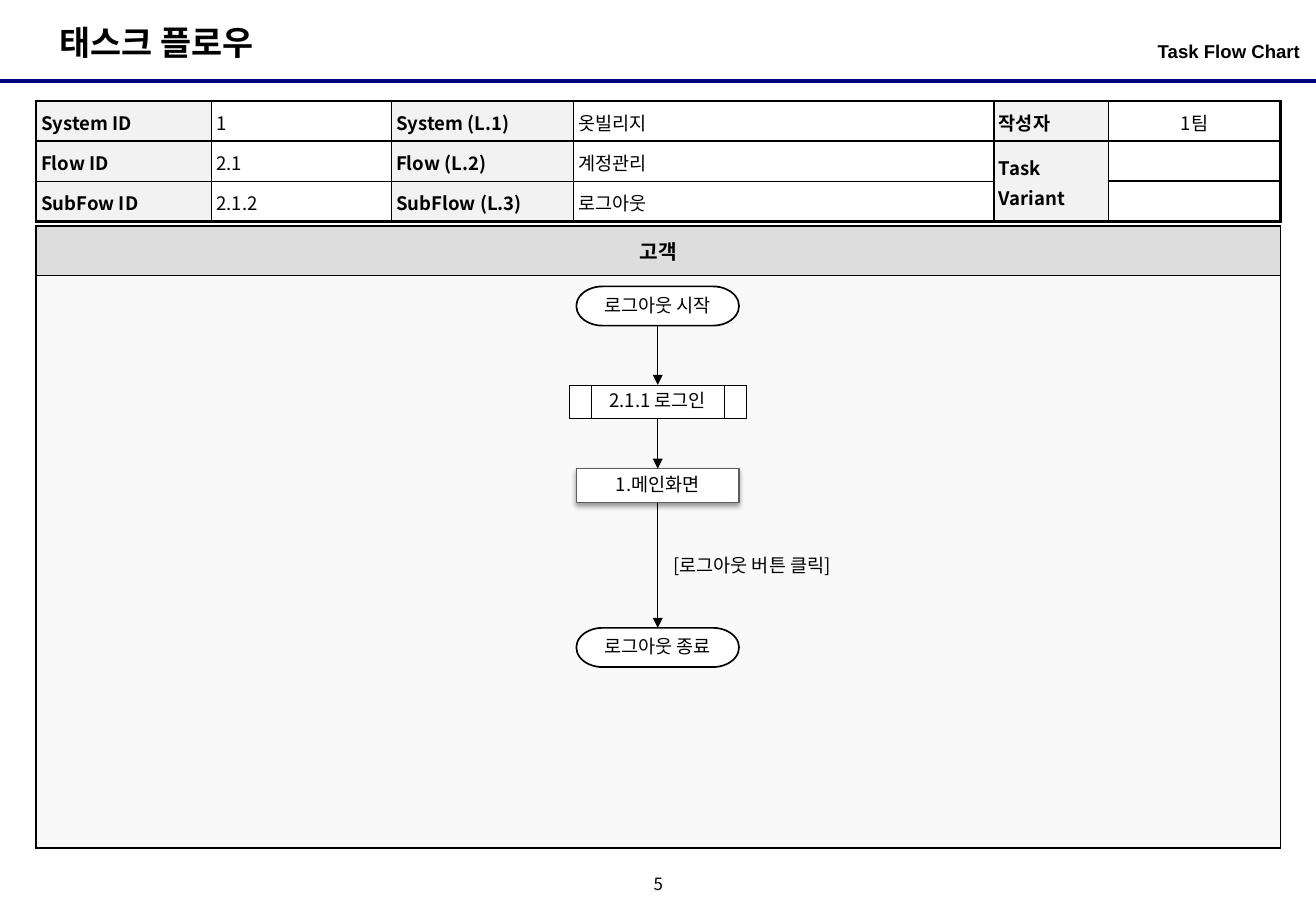
"""Build the logout task flow slide."""
from dataclasses import dataclass

from lxml import etree
from pptx import Presentation
from pptx.dml.color import RGBColor
from pptx.enum.shapes import MSO_CONNECTOR, MSO_SHAPE
from pptx.enum.text import MSO_ANCHOR, PP_ALIGN
from pptx.oxml.ns import qn
from pptx.util import Cm, Pt

STRAIGHT = MSO_CONNECTOR.STRAIGHT
TERMINATOR = MSO_SHAPE.FLOWCHART_TERMINATOR
PROCESS = MSO_SHAPE.FLOWCHART_PROCESS
PREDEFINED = MSO_SHAPE.FLOWCHART_PREDEFINED_PROCESS
LEFT, CENTER, RIGHT = PP_ALIGN.LEFT, PP_ALIGN.CENTER, PP_ALIGN.RIGHT
TOP, MIDDLE = MSO_ANCHOR.TOP, MSO_ANCHOR.MIDDLE
KOREAN_FONT = "Noto Sans CJK KR"
BLACK, WHITE, LABEL_GRAY = "000000", "FFFFFF", "F2F2F2"
BOTTOM_SITE, TOP_SITE = 2, 0
FLOW_CENTER = 13.75
TABLE_LEFT = 0.76


@dataclass
class Caption:
    text: str
    left: float
    top: float
    width: float
    height: float
    size: float
    bold: bool = False
    font: str = KOREAN_FONT
    align: PP_ALIGN = LEFT
    anchor: MSO_ANCHOR = TOP
    wrap: bool = False
    inset: tuple[float, float] = (0.25, 0.13)
    spacing: float = 1.0


@dataclass
class Step:
    text: str
    kind: MSO_SHAPE
    top: float
    width: float
    height: float
    outline: str = BLACK
    weight: float = 1
    font: str = KOREAN_FONT
    shadow: bool = False


CAPTIONS = [
    Caption("태스크 플로우", 0.99, 0.33, 5.03, 1.12, 20, bold=True),
    Caption("Task Flow Chart", 18.77, 0.71, 8.41, 0.99, 11, bold=True,
            font="Arial", align=RIGHT, wrap=True, inset=(0, 0.13)),
    Caption("[로그아웃 버튼 클릭]", 13.82, 11.46, 4.17, 0.74, 11),
    Caption("5", 13.34, 18.21, 0.84, 0.64, 10, align=CENTER,
            anchor=MIDDLE, inset=(0, 0), spacing=0.8),
]
STEPS = [
    Step("로그아웃 시작", TERMINATOR, 5.99, 3.4, 0.82, font="Arial"),
    Step("2.1.1 로그인", PREDEFINED, 8.05, 3.71, 0.7, weight=0.25),
    Step("1.메인화면", PROCESS, 9.8, 3.4, 0.71, outline="5D5D5D",
         weight=0.75, shadow=True),
    Step("로그아웃 종료", TERMINATOR, 13.13, 3.4, 0.82, font="Arial"),
]
HEADER_COLUMNS = [3.66, 3.76, 3.81, 8.79, 2.39, 3.6]
HEADER_ROWS = [
    ["System ID", "1", "System (L.1)", "옷빌리지", "작성자", "1팀"],
    ["Flow ID", "2.1", "Flow (L.2)", "계정관리", "Task Variant", ""],
    ["SubFow ID", "2.1.2", "SubFlow (L.3)", "로그아웃", "", ""],
]


def color(value: str) -> RGBColor:
    """Turn a hex string into a colour."""
    return RGBColor.from_string(value)


def write(holder, text: str, size: float, bold: bool = False,
          font: str = KOREAN_FONT, align: PP_ALIGN = LEFT,
          spacing: float = 1.0) -> None:
    """Fill a shape or cell with one styled paragraph."""
    holder.text_frame.text = text
    paragraph = holder.text_frame.paragraphs[0]
    paragraph.alignment = align
    paragraph.line_spacing = spacing
    for run in paragraph.runs:
        run.font.size = Pt(size)
        run.font.bold = bold
        run.font.name = font
        run.font.color.rgb = color(BLACK)
        etree.SubElement(run.font._element, qn("a:ea"), typeface=KOREAN_FONT)
    if not text:
        etree.SubElement(paragraph._p, qn("a:endParaRPr"), sz=str(int(size * 100)))


def add_caption(slide, caption: Caption) -> None:
    """Add a free text box."""
    box = slide.shapes.add_textbox(Cm(caption.left), Cm(caption.top),
                                   Cm(caption.width), Cm(caption.height))
    frame = box.text_frame
    frame.word_wrap = caption.wrap
    frame.vertical_anchor = caption.anchor
    frame.margin_left = frame.margin_right = Cm(caption.inset[0])
    frame.margin_top = frame.margin_bottom = Cm(caption.inset[1])
    write(box, caption.text, caption.size, caption.bold, caption.font,
          caption.align, caption.spacing)


def add_step(slide, step: Step):
    """Add a flow step centred on the flow axis."""
    shape = slide.shapes.add_shape(step.kind, Cm(FLOW_CENTER - step.width / 2),
                                   Cm(step.top), Cm(step.width), Cm(step.height))
    shape.fill.solid()
    shape.fill.fore_color.rgb = color(WHITE)
    shape.line.color.rgb = color(step.outline)
    shape.line.width = Pt(step.weight)
    shape.shadow.inherit = False
    if step.shadow:
        effects = shape._element.spPr.find(qn("a:effectLst"))
        outer = etree.SubElement(effects, qn("a:outerShdw"), blurRad=str(Pt(3.1)),
                                 dist=str(Pt(1.6)), dir="5400000", rotWithShape="0")
        tint = etree.SubElement(outer, qn("a:srgbClr"), val=BLACK)
        etree.SubElement(tint, qn("a:alpha"), val="38000")
    frame = shape.text_frame
    frame.word_wrap = True
    frame.vertical_anchor = MIDDLE
    frame.margin_left = frame.margin_right = Cm(0.05)
    frame.margin_top = frame.margin_bottom = 0
    write(shape, step.text, 11, font=step.font, align=CENTER, spacing=0.9)
    return shape


def add_line(slide, start: tuple[float, float], end: tuple[float, float],
             stroke: str, weight: float):
    """Add a straight line without shadow."""
    line = slide.shapes.add_connector(STRAIGHT, *map(Cm, start + end))
    line.line.color.rgb = color(stroke)
    line.line.width = Pt(weight)
    etree.SubElement(line._element.spPr, qn("a:effectLst"))
    return line


def add_arrow(slide, source, target) -> None:
    """Join two steps with a downward arrow."""
    arrow = add_line(slide, (0, 0), (0, 0), BLACK, 0.75)
    arrow.begin_connect(source, BOTTOM_SITE)
    arrow.end_connect(target, TOP_SITE)
    etree.SubElement(arrow.line._get_or_add_ln(), qn("a:tailEnd"), type="triangle")


def style_cell(cell, fill: str, left: float, right: float, top: float,
               bottom: float) -> None:
    """Set the border widths in points, then the fill of a cell."""
    properties = cell._tc.get_or_add_tcPr()
    for side, weight in zip("LRTB", (left, right, top, bottom)):
        border = etree.SubElement(properties, qn(f"a:ln{side}"), w=str(Pt(weight)))
        solid = etree.SubElement(border, qn("a:solidFill"))
        etree.SubElement(solid, qn("a:srgbClr"), val=BLACK)
    cell.fill.solid()
    cell.fill.fore_color.rgb = color(fill)


def add_grid(slide, top: float, widths: list[float], heights: list[float]):
    """Add an empty table with the given column widths and row heights."""
    grid = slide.shapes.add_table(len(heights), len(widths), Cm(TABLE_LEFT), Cm(top),
                                  Cm(sum(widths)), Cm(sum(heights))).table
    for column, width in zip(grid.columns, widths):
        column.width = Cm(width)
    for row, height in zip(grid.rows, heights):
        row.height = Cm(height)
    return grid


def add_flow_area(slide) -> None:
    """Add the swim lane of the customer."""
    lane = add_grid(slide, 4.72, [26.01], [1.04, 11.97])
    heading, body = lane.cell(0, 0), lane.cell(1, 0)
    style_cell(heading, "DDDDDD", 1.5, 0.75, 1.5, 0.75)
    style_cell(body, "F9F9F9", 1.5, 0.75, 0.75, 1.5)
    heading.vertical_anchor = MIDDLE
    write(heading, "고객", 12, bold=True, align=CENTER)


def add_header(slide) -> None:
    """Add the table that identifies the flow."""
    header = add_grid(slide, 2.11, HEADER_COLUMNS, [0.84] * len(HEADER_ROWS))
    last_row, last_column = len(HEADER_ROWS) - 1, len(HEADER_COLUMNS) - 1
    for r, texts in enumerate(HEADER_ROWS):
        for c, text in enumerate(texts):
            cell = header.cell(r, c)
            is_label, is_author = c % 2 == 0, c >= 4
            style_cell(cell, LABEL_GRAY if is_label else WHITE,
                       1.5 if c == 0 else 1, 1.5 if c == last_column else 1,
                       1.5 if r == 0 or is_author else 1,
                       1.5 if r == last_row or is_author else 1)
            cell.margin_left = cell.margin_right = Cm(0.1)
            cell.margin_top = cell.margin_bottom = Cm(0.1)
            cell.vertical_anchor = MIDDLE if is_author else TOP
            write(cell, text, 11, bold=is_label, spacing=1.1,
                  align=CENTER if c == last_column else LEFT)
    header.cell(1, 4).merge(header.cell(2, 4))


def main() -> None:
    """Build and save the slide."""
    deck = Presentation()
    deck.slide_width, deck.slide_height = Cm(27.51), Cm(19.05)
    slide = deck.slides.add_slide(deck.slide_layouts[6])
    add_line(slide, (0, 1.7), (27.51, 1.7), "000080", 2.25)
    add_flow_area(slide)
    add_header(slide)
    steps = [add_step(slide, step) for step in STEPS]
    for source, target in zip(steps, steps[1:]):
        add_arrow(slide, source, target)
    for caption in CAPTIONS:
        add_caption(slide, caption)
    deck.save("out.pptx")


if __name__ == "__main__":
    main()
